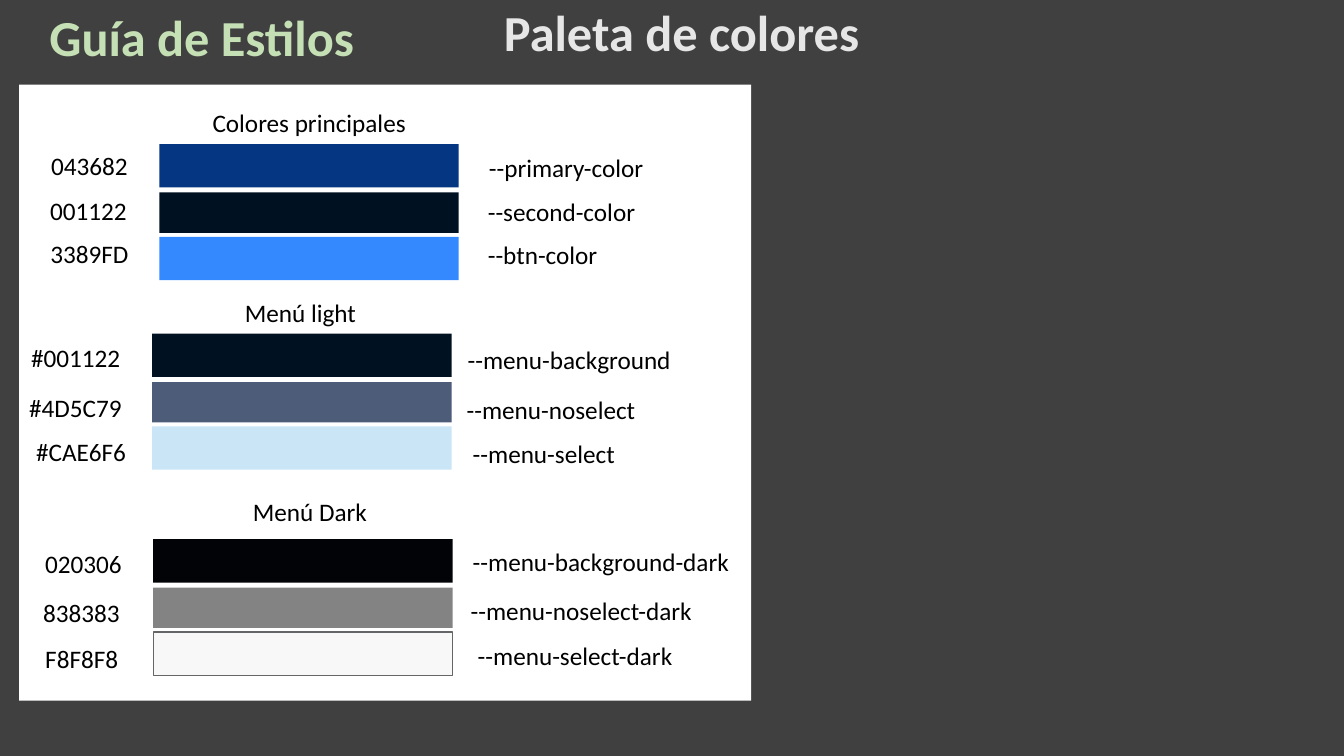
from dataclasses import dataclass

import pptx
import pptx.dml.color
import pptx.enum.shapes
import pptx.enum.text
import pptx.util

Inches = pptx.util.Inches


@dataclass(frozen=True)
class Theme:
    font: str = "Calibri"
    title_size: int = 36
    label_size: int = 18
    background: str = "404040"
    panel: str = "FFFFFF"
    title: str = "C5E0B4"
    subtitle: str = "E7E6E6"
    label: str = "000000"
    outline: str = "656667"


THEME = Theme()
BAR_WIDTH = 2.97
BARS = ((0, 0.43), (0.48, 0.4), (0.92, 0.43))  # top offset and height
LABEL_HEIGHT = 0.4

# Each group: heading, its box, left and top of the bars, then one row per bar.
# Row: code, its offset from the bars, variable, its offset from the bars.
GROUPS = (
    ("Colores principales", (0.43, -0.41, 2.14), (1.58, 1.43), (
        ("043682", (-1.17, 0.01, 1.13), "--primary-color", (3.17, 0.03, 1.92)),
        ("001122", (-1.18, 0.46, 1.13), "--second-color", (3.16, 0.47, 1.8)),
        ("3389FD", (-1.18, 0.89, 1.08), "--btn-color", (3.16, 0.9, 1.54)),
    )),
    ("Menú light", (0.82, -0.41, 1.32), (1.51, 3.31), (
        ("#001122", (-1.3, 0.04, 1.2), "--menu-background", (3.03, 0.06, 2.24)),
        ("#4D5C79", (-1.32, 0.53, 1.2), "--menu-noselect", (3.02, 0.55, 2.14)),
        ("#CAE6F6", (-1.25, 0.97, 1.23), "--menu-select", (3.08, 0.99, 1.83)),
    )),
    ("Menú Dark", (0.89, -0.48, 1.35), (1.52, 5.35), (
        ("020306", (-1.17, 0.04, 1.08), "--menu-background-dark", (3.07, 0.02, 2.86)),
        ("838383", (-1.19, 0.53, 1.08), "--menu-noselect-dark", (3.05, 0.51, 2.86)),
        ("F8F8F8", (-1.17, 0.98, 1.08), "--menu-select-dark", (3.12, 0.95, 2.8)),
    )),
)


def rgb(value):
    return pptx.dml.color.RGBColor.from_string(value)


def write(slide, text, box, *, holder=None, size=THEME.label_size,
          color=THEME.label, bold=False, wrap=True):
    """Put text in the given placeholder, or in a new text box."""
    left, top, width, height = map(Inches, box)
    if holder is None:
        holder = slide.shapes.add_textbox(left, top, width, height)
    else:
        holder.left, holder.top, holder.width, holder.height = left, top, width, height
    frame = holder.text_frame
    frame.text = text
    frame.word_wrap = wrap
    frame.auto_size = pptx.enum.text.MSO_AUTO_SIZE.SHAPE_TO_FIT_TEXT
    frame.vertical_anchor = pptx.enum.text.MSO_ANCHOR.TOP
    paragraph = frame.paragraphs[0]
    paragraph.alignment = pptx.enum.text.PP_ALIGN.LEFT
    font = paragraph.runs[0].font
    font.name = THEME.font
    font.size = pptx.util.Pt(size)
    font.bold = bold
    font.color.rgb = rgb(color)


def add_rectangle(slide, box, fill, outline=None):
    rectangle = slide.shapes.add_shape(
        pptx.enum.shapes.MSO_SHAPE.RECTANGLE, *map(Inches, box))
    rectangle.shadow.inherit = False
    rectangle.fill.solid()
    rectangle.fill.fore_color.rgb = rgb(fill)
    if outline:
        rectangle.line.color.rgb = rgb(outline)
        rectangle.line.width = pptx.util.Pt(1)
    else:
        rectangle.line.fill.background()


def add_titles(slide):
    heading = dict(size=THEME.title_size, bold=True)
    write(slide, "Guía de Estilos", (0.39, 0.01, 3.43, 0.71),
          holder=slide.shapes.title, color=THEME.title, **heading)
    write(slide, "Paleta de colores", (4.9, -0.04, 4.27, 0.71),
          color=THEME.subtitle, **heading)


def add_color_group(slide, heading, heading_box, origin, rows):
    left, top = origin

    def label(text, offset, wrap=True):
        dx, dy, width = offset
        write(slide, text, (left + dx, top + dy, width, LABEL_HEIGHT), wrap=wrap)

    label(heading, heading_box, wrap=False)
    for (bar_top, bar_height), (code, code_at, variable, variable_at) in zip(BARS, rows):
        fill = code.lstrip("#")
        add_rectangle(slide, (left, top + bar_top, BAR_WIDTH, bar_height), fill,
                      THEME.outline if fill == "F8F8F8" else None)
        label(code, code_at)
        label(variable, variable_at)


def main():
    deck = pptx.Presentation()
    deck.slide_width, deck.slide_height = Inches(13.33), Inches(7.5)
    slide = deck.slides.add_slide(deck.slide_layouts.get_by_name("Title Only"))
    slide.background.fill.solid()
    slide.background.fill.fore_color.rgb = rgb(THEME.background)
    add_titles(slide)
    add_rectangle(slide, (0.19, 0.84, 7.26, 6.11), THEME.panel)
    for group in GROUPS:
        add_color_group(slide, *group)
    deck.save("out.pptx")


if __name__ == "__main__":
    main()
